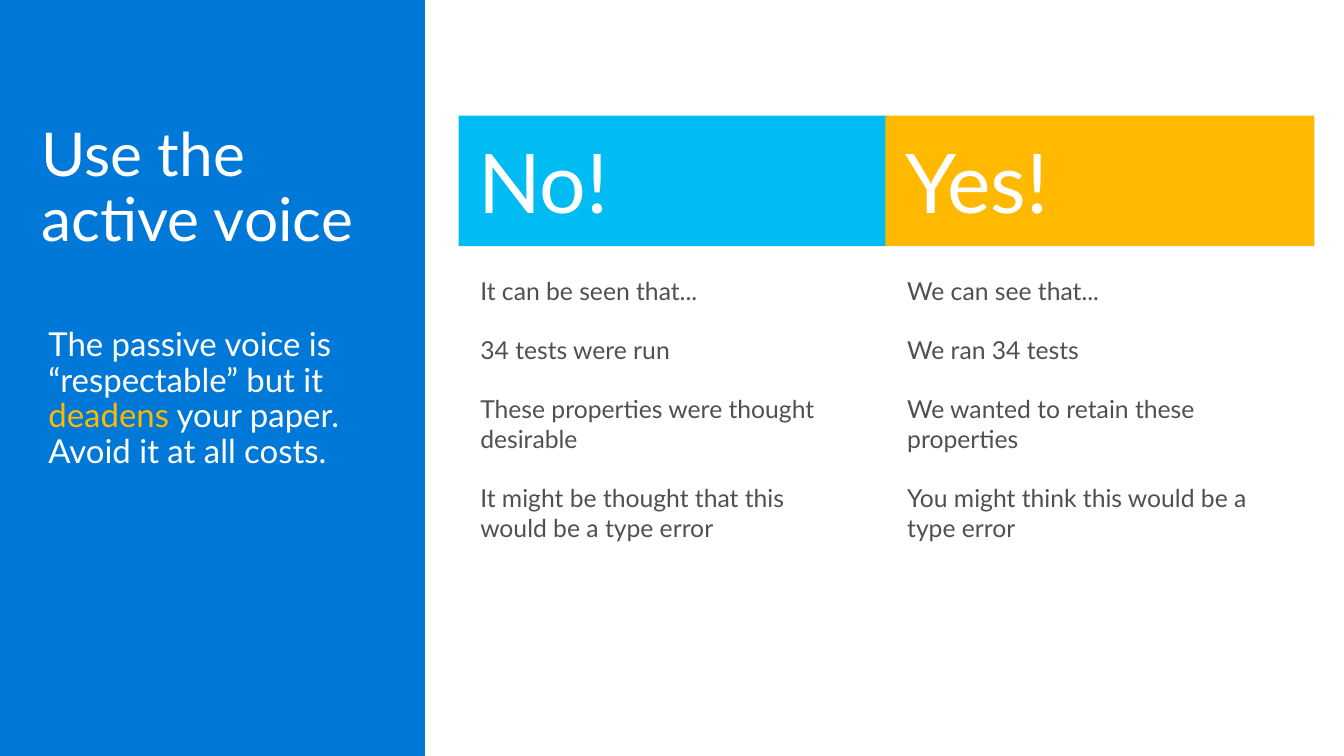
from pptx import Presentation
from pptx.dml.color import RGBColor
from pptx.enum import shapes, text
from pptx.oxml import parse_xml
from pptx.oxml.ns import nsdecls
from pptx.util import Inches, Pt

BLUE, CYAN, AMBER = "0078D7", "00BCF2", "FFB900"
WHITE, GREY = "FFFFFF", "505050"


def colour(hex_value):
    return RGBColor.from_string(hex_value)


class AdviceSlide:
    font = "Lato"
    narrow = (0.16, 0.1)
    wide = (0.2, 0.16)

    def __init__(self, deck):
        # "Two Content" layout: a title and two lists
        self.slide = deck.slides.add_slide(deck.slide_layouts[3])

    def frame(self, shape, insets):
        frame = shape.text_frame
        frame.word_wrap = True
        frame.auto_size = text.MSO_AUTO_SIZE.NONE
        frame.vertical_anchor = text.MSO_ANCHOR.TOP
        frame.margin_left = frame.margin_right = Inches(insets[0])
        frame.margin_top = frame.margin_bottom = Inches(insets[1])
        return frame

    def style(self, paragraph, size, ink, line_spacing=1.0, before=0):
        paragraph.alignment = text.PP_ALIGN.LEFT
        paragraph.line_spacing = line_spacing
        paragraph.space_before = Pt(before)
        paragraph.font.name = self.font
        paragraph.font.size = Pt(size)
        paragraph.font.color.rgb = colour(ink)

    def place(self, shape, left, top, width, height):
        shape.left, shape.top = Inches(left), Inches(top)
        shape.width, shape.height = Inches(width), Inches(height)

    def block(self, box, fill):
        block = self.slide.shapes.add_shape(
            shapes.MSO_SHAPE.RECTANGLE, *map(Inches, box))
        block.shadow.inherit = False
        block.fill.solid()
        block.fill.fore_color.rgb = colour(fill)
        block.line.fill.background()
        return block

    def panel(self, box, fill):
        panel = self.block(box, fill)
        # Send behind the placeholders
        self.slide.shapes._spTree.insert(2, panel._element)

    def title(self, box, words):
        title = self.slide.shapes.title
        self.place(title, *box)
        frame = self.frame(title, self.narrow)
        frame.text = words
        self.style(frame.paragraphs[0], 44, WHITE, 0.9)

    def note(self, box, pieces):
        note = self.slide.shapes.add_textbox(*map(Inches, box))
        paragraph = self.frame(note, self.narrow).paragraphs[0]
        self.style(paragraph, 24, WHITE, 0.9)
        for words, ink in pieces:
            run = paragraph.add_run()
            run.text = words
            run.font.color.rgb = colour(ink)

    def heading(self, box, words, fill):
        frame = self.frame(self.block(box, fill), self.wide)
        frame.text = words
        self.style(frame.paragraphs[0], 60, WHITE)

    def examples(self, index, box, lines):
        body = self.slide.placeholders[index]
        self.place(body, *box)
        frame = self.frame(body, self.wide)
        frame.text = "\n".join(lines)
        for number, paragraph in enumerate(frame.paragraphs):
            properties = paragraph._p.get_or_add_pPr()
            properties.set("marL", "0")
            properties.set("indent", "0")
            properties.append(parse_xml(f"<a:buNone {nsdecls('a')}/>"))
            self.style(paragraph, 18, GREY, before=21.6 if number else 0)


def main():
    deck = Presentation()
    deck.slide_width, deck.slide_height = Inches(13.6), Inches(7.65)
    advice = AdviceSlide(deck)

    # Side panel with the rule and its reason
    advice.panel((0, 0, 4.3, 7.65), BLUE)
    advice.title((0.26, 1.16, 3.78, 1.66), "Use the active voice")
    advice.note((0.33, 3.22, 3.63, 1.66), [
        ("The passive voice is “respectable” but it ", WHITE),
        ("deadens", AMBER),
        (" your paper. Avoid it at all costs.", WHITE),
    ])

    # Passive and active wordings side by side
    columns = [
        ("No!", CYAN, 4.64, 4.03, [
            "It can be seen that...",
            "34 tests were run",
            "These properties were thought desirable",
            "It might be thought that this would be a type error",
        ]),
        ("Yes!", AMBER, 8.96, 4.27, [
            "We can see that...",
            "We ran 34 tests",
            "We wanted to retain these properties",
            "You might think this would be a type error",
        ]),
    ]
    for index, (verdict, fill, left, list_width, lines) in enumerate(columns, 1):
        advice.heading((left, 1.17, 4.34, 1.32), verdict, fill)
        advice.examples(index, (left + 0.02, 2.63, list_width, 3.05), lines)

    deck.save("out.pptx")


if __name__ == "__main__":
    main()
